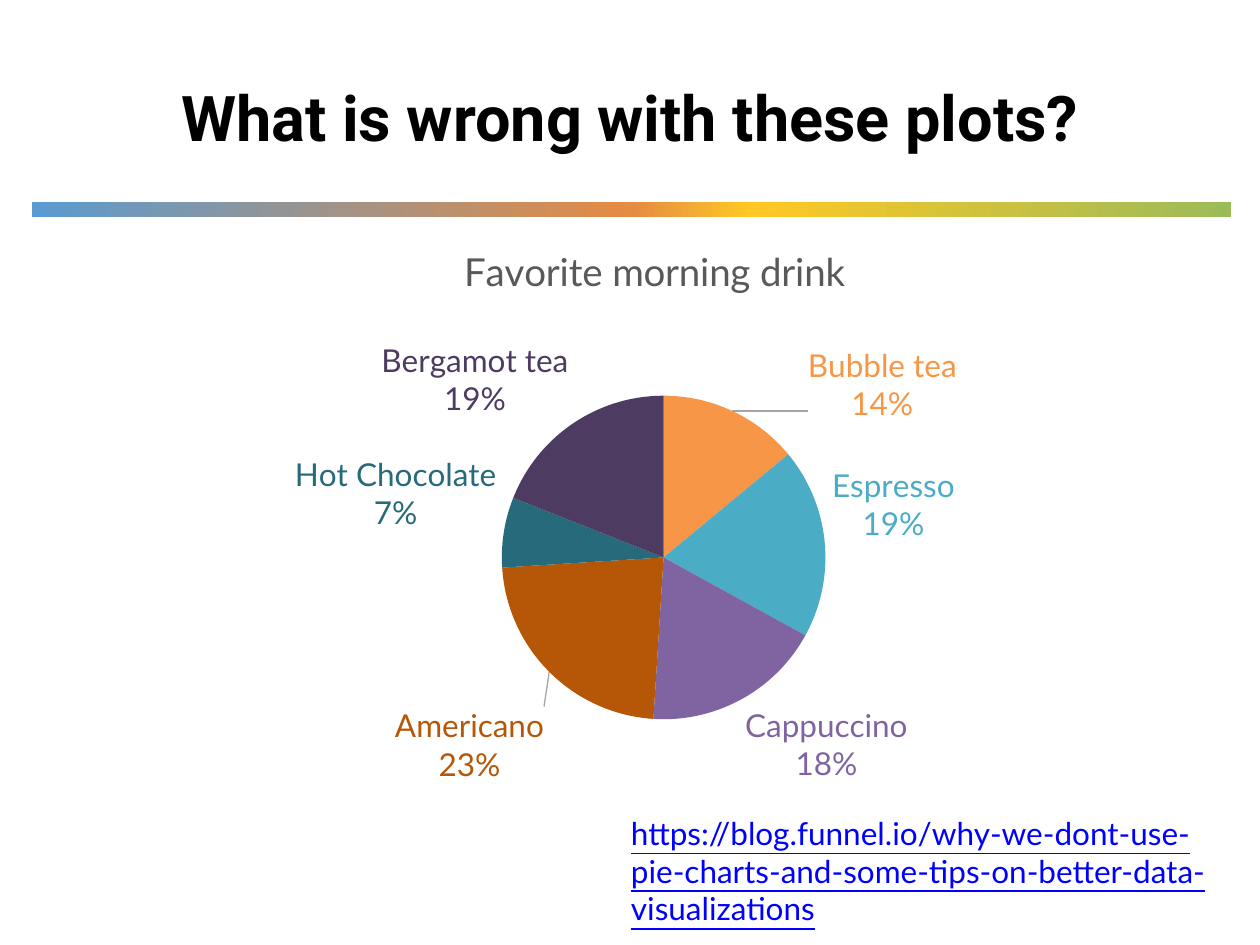
from dataclasses import dataclass

from lxml import etree
from pptx import Presentation
from pptx import util as u
from pptx.chart.data import CategoryChartData
from pptx.dml.color import RGBColor
from pptx.enum import chart as charts, shapes, text
from pptx.oxml.ns import qn


@dataclass(frozen=True)
class Theme:
    heading_font: str = "Roboto"
    body_font: str = "Lato"
    heading_size: int = 36
    chart_title_size: int = 22
    body_size: int = 18
    ink: str = "000000"
    link: str = "0000FF"
    chart_title: str = "595959"
    leader: str = "A6A6A6"
    rule: tuple = ((0, "599BD1"), (50, "E58B43"), (60, "FFC824"), (100, "9BBB59"))


C15 = "http://schemas.microsoft.com/office/drawing/2012/chart"
LABEL_EXTENSION = "{CE6537A1-D6FC-4f65-9D91-7224C49458BB}"

# name, percentage, colour, label shift and label size as fractions of the chart
DRINKS = [
    ("Bubble tea", 14, "F79646", (0.07, 0.03), None),
    ("Espresso", 19, "4BACC6", None, None),
    ("Cappuccino", 18, "8064A2", None, None),
    ("Americano", 23, "B65708", (0, 0.05), None),
    ("Hot Chocolate", 7, "276A7C", None, (0.16, 0.2)),
    ("Bergamot tea", 19, "4D3B62", None, None),
]


def format_font(font, *, name, size, color, bold=False, underline=False):
    font.name, font.size = name, u.Pt(size)
    font.bold, font.underline = bold, underline
    font.color.rgb = RGBColor.from_string(color)


def write_text(frame, words, *, align=text.PP_ALIGN.LEFT, **style):
    para = frame.paragraphs[0]
    para.alignment = align
    span = para.add_run()
    span.text = words
    format_font(span.font, **style)


def manual_layout(tag=qn("c:layout"), **values):
    """Return a layout element holding the given manual settings."""
    layout = etree.Element(tag, nsmap={"c15": C15})
    manual = etree.SubElement(layout, qn("c:manualLayout"))
    for name, value in values.items():
        etree.SubElement(manual, qn(f"c:{name}")).set("val", str(value))
    return layout


def place(parent, layout, after=None):
    """Put layout in parent, after the named child or else first."""
    for old in parent.findall(qn("c:layout")):
        parent.remove(old)
    if after is None:
        parent.insert(0, layout)
    else:
        parent.find(qn(after)).addnext(layout)


class SlideBuilder:
    def __init__(self, page, theme):
        self.page, self.theme = page, theme

    def gradient_bar(self, left, top, width, height):
        bar = self.page.shapes.add_shape(
            shapes.MSO_SHAPE.RECTANGLE, *map(u.Inches, (left, top, width, height)))
        bar.shadow.inherit = False
        bar.line.fill.background()
        bar.fill.gradient()
        bar.fill.gradient_angle = 0
        stops = bar._element.spPr.find(qn("a:gradFill")).find(qn("a:gsLst"))
        for old in list(stops):
            stops.remove(old)
        for percent, color in self.theme.rule:
            stop = etree.SubElement(stops, qn("a:gs"), pos=str(percent * 1000))
            etree.SubElement(stop, qn("a:srgbClr"), val=color)

    def text_box(self, words, left, top, width, height,
                 anchor=text.MSO_ANCHOR.TOP, **style):
        box = self.page.shapes.add_textbox(
            *map(u.Inches, (left, top, width, height)))
        frame = box.text_frame
        frame.word_wrap = True
        frame.vertical_anchor = anchor
        write_text(frame, words, **style)

    def pie(self, title, slices, left, top, width, height):
        theme = self.theme
        data = CategoryChartData()
        data.categories = [name for name, *_ in slices]
        data.add_series("Series 1", [value for _, value, *_ in slices])
        chart = self.page.shapes.add_chart(
            charts.XL_CHART_TYPE.PIE,
            *map(u.Inches, (left, top, width, height)), data).chart
        format_font(chart.font, name=theme.body_font, size=theme.body_size,
                    color=theme.ink)
        chart.has_legend = False
        chart.has_title = True
        write_text(chart.chart_title.text_frame, title,
                   align=text.PP_ALIGN.CENTER, name=theme.body_font,
                   size=theme.chart_title_size, color=theme.chart_title)
        place(chart.chart_title._element,
              manual_layout(xMode="edge", yMode="edge", x=0.31, y=0.03), "c:tx")
        plot = chart.plots[0]
        plot.vary_by_categories = True
        place(plot._element.getparent(), manual_layout(
            layoutTarget="inner", xMode="edge", yMode="edge",
            x=0.35, y=0.3, w=0.32, h=0.55))
        series = plot.series[0]
        for index, (_, _, color, shift, size) in enumerate(slices):
            point = series.points[index]
            point.format.fill.solid()
            point.format.fill.fore_color.rgb = RGBColor.from_string(color)
            self.slice_label(point.data_label, color, shift, size)
        self.leader_lines(series)

    def slice_label(self, label, color, shift, size):
        """Show category and percentage in the colour of the slice."""
        format_font(label.font, name=self.theme.body_font,
                    size=self.theme.body_size, color=color)
        label.position = charts.XL_LABEL_POSITION.OUTSIDE_END
        element = label._dLbl
        for flag, shown in (("Val", 0), ("CatName", 1), ("Percent", 1)):
            element.find(qn(f"c:show{flag}")).set("val", str(shown))
        separator = etree.Element(qn("c:separator"))
        separator.text = "\n"
        element.find(qn("c:showBubbleSize")).addnext(separator)
        if shift:
            place(element, manual_layout(x=shift[0], y=shift[1]), "c:idx")
        if size:
            extensions = etree.SubElement(element, qn("c:extLst"))
            extension = etree.SubElement(extensions, qn("c:ext"),
                                         uri=LABEL_EXTENSION)
            extension.append(manual_layout(f"{{{C15}}}layout",
                                           w=size[0], h=size[1]))

    def leader_lines(self, series):
        labels = series._element.find(qn("c:dLbls"))
        switch = labels.find(qn("c:showLeaderLines"))
        if switch is None:
            switch = etree.SubElement(labels, qn("c:showLeaderLines"))
        switch.set("val", "1")
        leaders = etree.Element(qn("c:leaderLines"))
        switch.addnext(leaders)
        shape = etree.SubElement(leaders, qn("c:spPr"))
        line = etree.SubElement(shape, qn("a:ln"), w=str(u.Pt(0.75)))
        fill = etree.SubElement(line, qn("a:solidFill"))
        etree.SubElement(fill, qn("a:srgbClr"), val=self.theme.leader)


def main():
    theme = Theme()
    deck = Presentation()
    deck.slide_width, deck.slide_height = u.Inches(10), u.Inches(7.5)
    builder = SlideBuilder(deck.slides.add_slide(deck.slide_layouts[6]), theme)

    builder.gradient_bar(0.25, 1.6, 9.52, 0.12)
    builder.text_box("What is wrong with these plots?", 0.5, 0.3, 9, 1.25,
                     anchor=text.MSO_ANCHOR.MIDDLE, align=text.PP_ALIGN.CENTER,
                     name=theme.heading_font, size=theme.heading_size,
                     color=theme.ink, bold=True)
    builder.text_box(
        "https://blog.funnel.io/why-we-dont-use-pie-charts-and-some-tips-on-"
        "better-data-visualizations", 4.91, 6.41, 5, 1.01,
        name=theme.body_font, size=theme.body_size, color=theme.link,
        underline=True)
    builder.pie("Favorite morning drink", DRINKS, 1.09, 1.74, 8.19, 4.67)
    deck.save("out.pptx")


if __name__ == "__main__":
    main()
